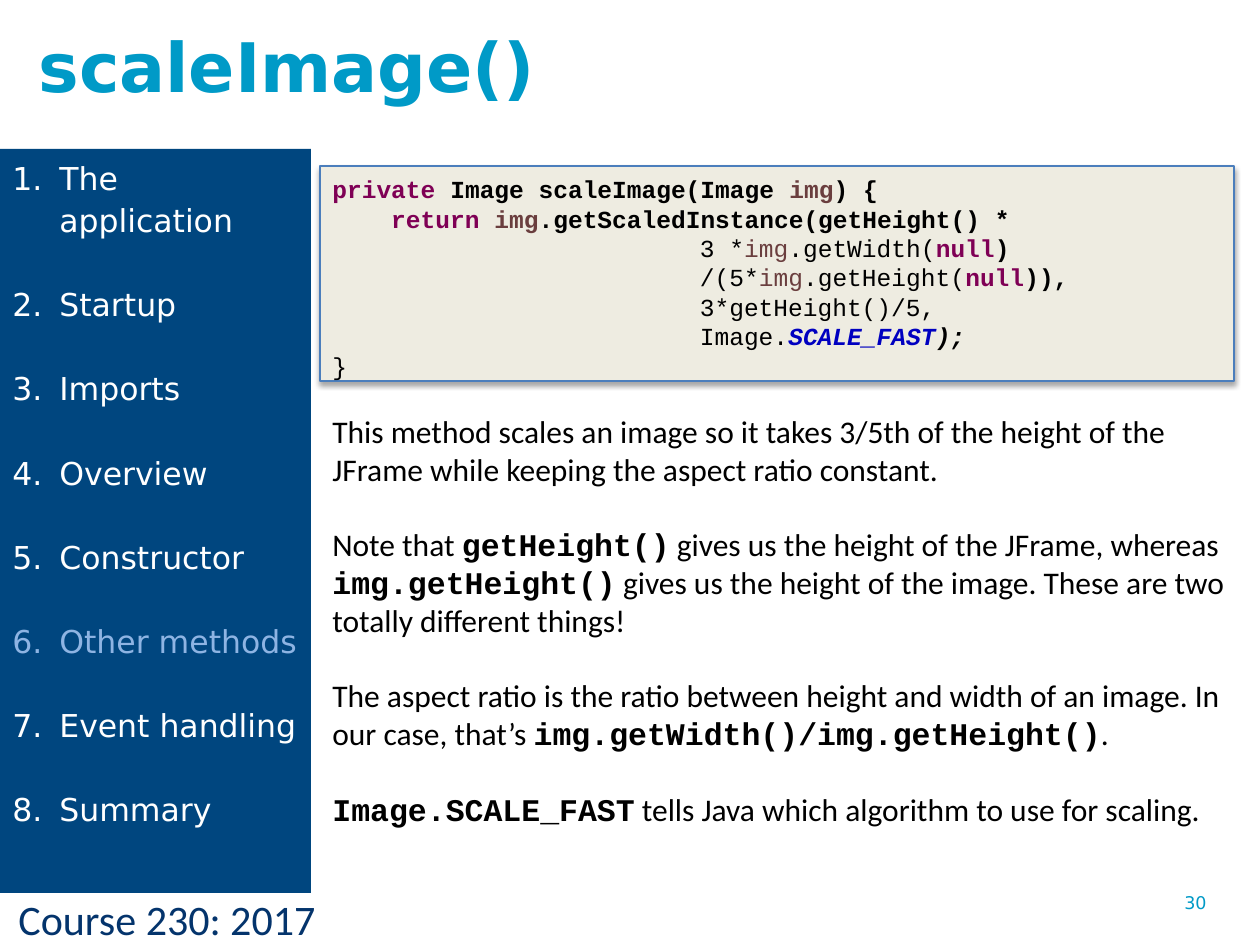
from dataclasses import dataclass

from lxml.etree import SubElement
from pptx import Presentation
from pptx.dml.color import RGBColor
from pptx.enum.shapes import MSO_SHAPE
from pptx.enum.text import MSO_ANCHOR, PP_ALIGN
from pptx.oxml.ns import qn
from pptx.util import Pt

TITLE = "scaleImage()"
FOOTER = "Course 230: 2017"
PAGE_NUMBER = "30"
TOPICS = ["The application", "Startup", "Imports", "Overview", "Constructor",
          "Other methods", "Event handling", "Summary"]
CURRENT_TOPIC = "Other methods"

# Each code line: indent in characters, then (text, style) runs
CODE = [
    (0, [("private", "keyword"), (" Image scaleImage(Image ", "strong"),
         ("img", "strong_variable"), (") {", "strong")]),
    (4, [("return ", "keyword"), ("img", "strong_variable"),
         (".getScaledInstance(getHeight() *", "strong")]),
    (25, [("3 *", "plain"), ("img", "variable"), (".getWidth(", "plain"),
          ("null", "keyword"), (")", "strong")]),
    (25, [("/(5*", "plain"), ("img", "variable"), (".getHeight(", "plain"),
          ("null", "keyword"), (")),", "strong")]),
    (25, [("3*getHeight()/5,", "plain")]),
    (25, [("Image.", "plain"), ("SCALE_FAST", "constant"), (");", "slanted")]),
    (0, [("}", "plain")]),
]
NOTES = [
    [("This method scales an image so it takes 3/5th of the height of the "
      "JFrame while keeping the aspect ratio constant.", "prose")],
    [("Note that ", "prose"), ("getHeight()", "term"),
     (" gives us the height of the JFrame, whereas ", "prose"),
     ("img.getHeight()", "term"),
     (" gives us the height of the image. These are two totally different things!",
      "prose")],
    [("The aspect ratio is the ratio between height and width of an image. "
      "In our case, that’s ", "prose"),
     ("img.getWidth()/img.getHeight()", "term"), (".", "prose")],
    [("Image.SCALE_FAST", "term"),
     (" tells Java which algorithm to use for scaling.", "prose")],
]


@dataclass(frozen=True)
class Theme:
    sans: str = "DejaVu Sans"
    text: str = "Calibri"
    mono: str = "Courier New"
    accent: str = "009AC7"
    navy: str = "00467F"
    footer: str = "04346C"
    current: str = "8EB4E3"
    white: str = "FFFFFF"
    black: str = "000000"
    panel: str = "EEECE1"
    panel_line: str = "4B7EBC"
    keyword: str = "7F0055"
    variable: str = "6A3E3E"
    constant: str = "0000C0"
    title_size: int = 39
    footer_size: int = 24
    body_size: int = 18
    code_size: int = 14
    number_size: int = 10


THEME = Theme()
# Style: font, size, colour, bold, italic
STYLES = {
    "title": (THEME.sans, THEME.title_size, THEME.accent, True, False),
    "footer": (THEME.text, THEME.footer_size, THEME.footer, False, False),
    "number": (THEME.sans, THEME.number_size, THEME.accent, False, False),
    "topic": (THEME.sans, THEME.body_size, THEME.white, False, False),
    "current": (THEME.sans, THEME.body_size, THEME.current, False, False),
    "prose": (THEME.text, THEME.body_size, THEME.black, False, False),
    "term": (THEME.mono, THEME.body_size, THEME.black, True, False),
    "plain": (THEME.mono, THEME.code_size, THEME.black, False, False),
    "strong": (THEME.mono, THEME.code_size, THEME.black, True, False),
    "slanted": (THEME.mono, THEME.code_size, THEME.black, True, True),
    "keyword": (THEME.mono, THEME.code_size, THEME.keyword, True, False),
    "variable": (THEME.mono, THEME.code_size, THEME.variable, False, False),
    "strong_variable": (THEME.mono, THEME.code_size, THEME.variable, True, False),
    "constant": (THEME.mono, THEME.code_size, THEME.constant, True, True),
}
EMU_PER_PX = 914400 / 126
MONO_ADVANCE = 0.6  # character width as a share of the type size


def px(length):
    return round(length * EMU_PER_PX)


def add_rectangle(slide, area, fill):
    box = slide.shapes.add_shape(MSO_SHAPE.RECTANGLE, *map(px, area))
    box.shadow.inherit = False
    box.fill.solid()
    box.fill.fore_color.rgb = RGBColor.from_string(fill)
    box.line.fill.background()
    return box


def fill_text(box, paragraphs, anchor=MSO_ANCHOR.TOP):
    """Write lists of (text, style) runs and return the paragraphs."""
    frame = box.text_frame
    frame.word_wrap = True
    frame.vertical_anchor = anchor
    for index, runs in enumerate(paragraphs):
        para = frame.add_paragraph() if index else frame.paragraphs[0]
        for text, style in runs:
            span = para.add_run()
            span.text = text
            font = span.font
            font.name, size, colour, font.bold, font.italic = STYLES[style]
            font.size = Pt(size)
            font.color.rgb = RGBColor.from_string(colour)
    return frame.paragraphs


def add_text(slide, area, paragraphs, anchor=MSO_ANCHOR.TOP):
    return fill_text(slide.shapes.add_textbox(*map(px, area)), paragraphs, anchor)


def set_indent(para, left, first=0):
    properties = para._p.get_or_add_pPr()
    properties.set("marL", str(left))
    properties.set("indent", str(first))
    return properties


def add_drop_shadow(box):
    effects = box._element.spPr.find(qn("a:effectLst"))
    shadow = SubElement(effects, qn("a:outerShdw"), blurRad=str(Pt(3.1)),
                        dist=str(Pt(1.8)), dir="5400000", rotWithShape="0")
    colour = SubElement(shadow, qn("a:srgbClr"), val=THEME.black)
    SubElement(colour, qn("a:alpha"), val="35000")


def add_code(slide):
    panel = add_rectangle(slide, (320, 166, 914, 215), THEME.panel)
    panel.line.color.rgb = RGBColor.from_string(THEME.panel_line)
    panel.line.width = Pt(0.75)
    add_drop_shadow(panel)
    lines = add_text(slide, (320, 168, 914, 244), [runs for _, runs in CODE])
    for para, (characters, _) in zip(lines, CODE):
        set_indent(para, Pt(characters * MONO_ADVANCE * THEME.code_size))


def add_sidebar(slide):
    sidebar = add_rectangle(slide, (0, 149, 311, 744), THEME.navy)
    topics = [[(topic, "current" if topic == CURRENT_TOPIC else "topic")]
              for topic in TOPICS]
    for para in fill_text(sidebar, topics):
        para.alignment = PP_ALIGN.LEFT
        para.line_spacing = para.space_after = Pt(24)
        properties = set_indent(para, px(47), -px(47))
        SubElement(properties, qn("a:buFont"), typeface="+mj-lt")
        SubElement(properties, qn("a:buAutoNum"), type="arabicPeriod")


def main():
    deck = Presentation()
    deck.slide_width, deck.slide_height = px(1260), px(945)
    slide = deck.slides.add_slide(deck.slide_layouts[6])
    add_text(slide, (6, 887, 510, 63), [[(FOOTER, "footer")]])
    add_text(slide, (1172, 886, 88, 65), [[(PAGE_NUMBER, "number")]])
    add_text(slide, (26, 16, 898, 98), [[(TITLE, "title")]], MSO_ANCHOR.MIDDLE)
    add_code(slide)
    for para in add_text(slide, (320, 406, 930, 432), NOTES):
        para.space_after = Pt(21.5)
    add_sidebar(slide)
    deck.save("out.pptx")


if __name__ == "__main__":
    main()
